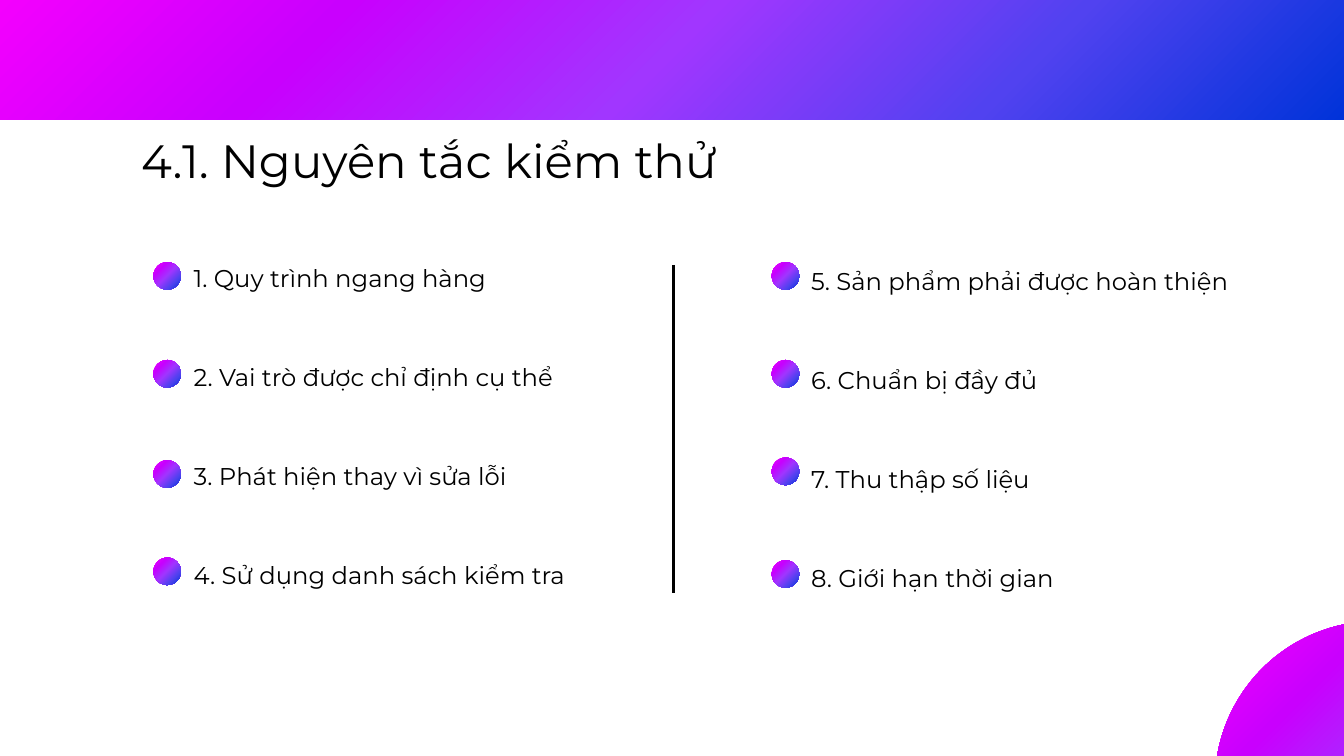
from dataclasses import dataclass

from lxml import etree
from pptx import Presentation
from pptx import util as u
from pptx.dml.color import RGBColor
from pptx.enum import shapes, text
from pptx.oxml import ns
from pptx.util import Cm


@dataclass(frozen=True)
class Theme:
    font: str = "Montserrat"
    ink: str = "000000"
    gradient: tuple = ("F600FE", "C900FE", "A136FF", "5142F0", "0033D9")
    title_size: float = 50
    title_line: float = 70
    item_size: float = 26
    item_line: float = 36.4


THEME = Theme()
ROW_PITCH = 3.74
DOT_SIZE = 1.04

# Each column: dot left, text left, first text top, then (dot top, text width, text)
COLUMNS = [
    (5.8, 7.32, 9.78, [
        (9.91, 14.15, "1. Quy trình ngang hàng"),
        (13.61, 15, "2. Vai trò được chỉ định cụ thể"),
        (17.4, 14.15, "3. Phát hiện thay vì sửa lỗi"),
        (21.08, 15.95, "4. Sử dụng danh sách kiểm tra"),
    ]),
    (29.17, 30.66, 9.88, [
        (9.91, 17.27, "5. Sản phẩm phải được hoàn thiện"),
        (13.61, 14.15, "6. Chuẩn bị đầy đủ"),
        (17.3, 14.15, "7. Thu thập số liệu"),
        (21.18, 14.15, "8. Giới hạn thời gian"),
    ]),
]


def fill_gradient(sp):
    """Fill with the theme gradient, from top left to bottom right."""
    sp.fill.gradient()
    sp.fill.gradient_angle = 315
    stops = sp._element.spPr.find(".//" + ns.qn("a:gsLst"))
    for stop in list(stops):
        stops.remove(stop)
    step = 100000 // (len(THEME.gradient) - 1)
    for i, color in enumerate(THEME.gradient):
        stop = etree.SubElement(stops, ns.qn("a:gs"), pos=str(i * step))
        etree.SubElement(stop, ns.qn("a:srgbClr"), val=color)


def add_gradient_shape(s, kind, left, top, width, height):
    sp = s.shapes.add_shape(kind, Cm(left), Cm(top), Cm(width), Cm(height))
    sp.shadow.inherit = False
    sp.line.fill.background()
    fill_gradient(sp)


def add_divider(s, x, top, bottom):
    line = s.shapes.add_connector(
        shapes.MSO_CONNECTOR.STRAIGHT, Cm(x), Cm(top), Cm(x), Cm(bottom))
    line.line.color.rgb = RGBColor.from_string(THEME.ink)
    line.line.width = u.Pt(3)
    etree.SubElement(line._element.spPr, ns.qn("a:effectLst"))


def set_text(sp, content, size, line_height):
    tf = sp.text_frame
    tf.text = content
    tf.word_wrap = True
    tf.auto_size = text.MSO_AUTO_SIZE.NONE
    tf.vertical_anchor = text.MSO_ANCHOR.TOP
    tf.margin_left = tf.margin_top = tf.margin_right = tf.margin_bottom = 0
    p = tf.paragraphs[0]
    p.alignment = text.PP_ALIGN.LEFT
    p.line_spacing = u.Pt(line_height)
    r = p.runs[0]
    r.font.name = THEME.font
    r.font.size = u.Pt(size)
    r.font.color.rgb = RGBColor.from_string(THEME.ink)


def set_title(s, content):
    sp = s.shapes.title
    sp.left, sp.top, sp.width, sp.height = Cm(5.33), Cm(4.62), Cm(29.44), Cm(2.36)
    set_text(sp, content, THEME.title_size, THEME.title_line)


def add_column(s, dot_left, text_left, text_top, items):
    for row, (dot_top, width, content) in enumerate(items):
        add_gradient_shape(s, shapes.MSO_SHAPE.OVAL,
                           dot_left, dot_top, DOT_SIZE, DOT_SIZE)
        sp = s.shapes.add_textbox(
            Cm(text_left), Cm(text_top + row * ROW_PITCH), Cm(width), Cm(1.22))
        set_text(sp, content, THEME.item_size, THEME.item_line)


def main():
    prs = Presentation()
    prs.slide_width, prs.slide_height = Cm(50.8), Cm(28.58)
    s = prs.slides.add_slide(prs.slide_layouts[5])

    # Header band and corner circle
    add_gradient_shape(s, shapes.MSO_SHAPE.RECTANGLE, 0, -0.69, 50.8, 5.21)
    add_gradient_shape(s, shapes.MSO_SHAPE.OVAL, 45.92, 23.48, 12.22, 12.22)

    # Title and the two columns of principles
    set_title(s, "4.1. Nguyên tắc kiểm thử")
    add_divider(s, 25.45, 10.01, 22.43)
    for column in COLUMNS:
        add_column(s, *column)

    prs.save("out.pptx")


if __name__ == "__main__":
    main()
